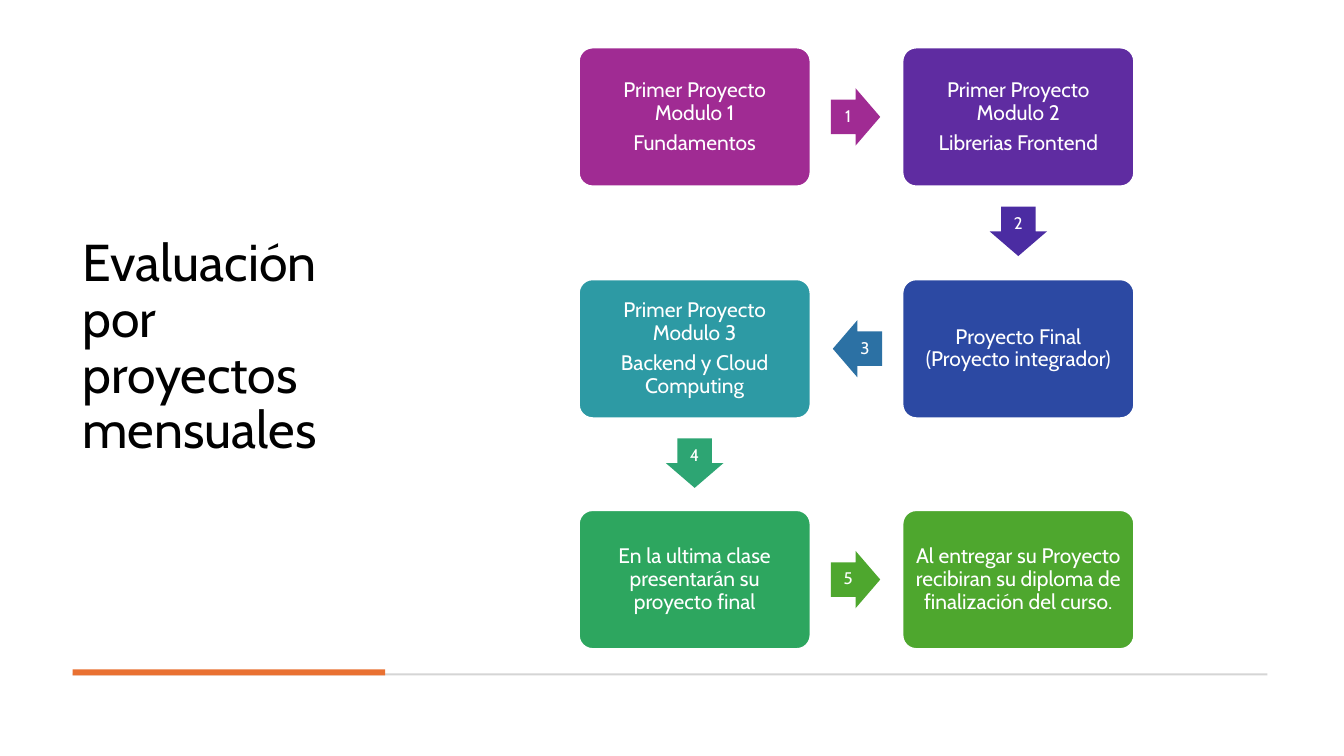
from pptx import Presentation
from pptx.dml.color import RGBColor
from pptx.enum.shapes import MSO_SHAPE
from pptx.enum.text import MSO_ANCHOR, PP_ALIGN
from pptx.util import Inches, Pt

HEX = {
    "black": "000000", "white": "FFFFFF", "gray": "D5D5D5", "orange": "E97132",
    "plum": "A02B93", "purple": "5F2CA1", "violet": "4B2CA2", "blue": "2C49A3",
    "steel": "2C71A4", "teal": "2D9AA4", "jade": "2DA573", "green": "2DA65F",
    "lime": "4EA72E",
}
LEFTS, TOPS = (5.74, 8.95), (0.47, 2.77, 5.06)
BOX_W, BOX_H = 2.3, 1.38
LONG, WIDE, GAP = 0.49, 0.57, 0.2

STEPS = [
    (0, 0, "plum", ["Primer Proyecto Modulo 1", "Fundamentos"]),
    (1, 0, "purple", ["Primer Proyecto Modulo 2", "Librerias Frontend"]),
    (1, 1, "blue", ["Proyecto Final (Proyecto integrador)"]),
    (0, 1, "teal", ["Primer Proyecto Modulo 3", "Backend y Cloud Computing"]),
    (0, 2, "green", ["En la ultima clase presentarán su proyecto final"]),
    (1, 2, "lime", ["Al entregar su Proyecto recibiran su diploma de "
                    "finalización del curso."]),
]
ARROWS = ["plum", "violet", "steel", "jade", "lime"]


def color(name):
    """Return the named colour."""
    return RGBColor.from_string(HEX[name])


def write(shape, lines, size, tint="white", align=PP_ALIGN.CENTER, inset=0.0):
    """Fill a shape with centred or aligned paragraphs."""
    frame = shape.text_frame
    frame.word_wrap = True
    frame.vertical_anchor = MSO_ANCHOR.MIDDLE
    frame.margin_left = frame.margin_right = Inches(inset)
    frame.margin_top = frame.margin_bottom = Inches(min(inset, 0.06))
    for i, line in enumerate(lines):
        para = frame.add_paragraph() if i else frame.paragraphs[0]
        para.text = line
        para.alignment = align
        para.line_spacing = 0.9
        if i < len(lines) - 1:
            para.space_after = Pt(0.35 * size)
        para.font.name = "Cabin"
        para.font.size = Pt(size)
        para.font.color.rgb = color(tint)


def block(slide, kind, left, top, width, height, fill):
    """Add a flat filled shape."""
    shape = slide.shapes.add_shape(
        kind, Inches(left), Inches(top), Inches(width), Inches(height))
    shape.shadow.inherit = False
    shape.fill.solid()
    shape.fill.fore_color.rgb = color(fill)
    shape.line.fill.background()
    return shape


def step(slide, col, row, fill, lines):
    """Add one project box on the grid."""
    box = block(slide, MSO_SHAPE.ROUNDED_RECTANGLE, LEFTS[col], TOPS[row],
                BOX_W, BOX_H, fill)
    box.adjustments[0] = 0.1
    box.line.color.rgb = color("white")
    box.line.width = Pt(1.5)
    write(box, lines, 15, inset=0.06)


def arrow(slide, start, end, fill, label):
    """Add a numbered arrow from one grid cell towards the next."""
    (col, row), (goal, drop) = start, end
    left, top = LEFTS[col], TOPS[row]
    if drop > row:
        kind, size = MSO_SHAPE.DOWN_ARROW, (WIDE, LONG)
        spot = left + (BOX_W - WIDE) / 2, top + BOX_H + GAP
    else:
        size = LONG, WIDE
        mid = top + (BOX_H - WIDE) / 2
        if goal > col:
            kind, spot = MSO_SHAPE.RIGHT_ARROW, (left + BOX_W + GAP, mid)
        else:
            kind, spot = MSO_SHAPE.LEFT_ARROW, (left - GAP - LONG, mid)
    shape = block(slide, kind, *spot, *size, fill)
    shape.adjustments[0] = 0.6
    shape.adjustments[1] = 0.5
    write(shape, [label], 12)


def title(slide, text):
    """Add the slide heading."""
    box = slide.shapes.add_textbox(
        Inches(0.72), Inches(0.47), Inches(3.1), Inches(5.97))
    write(box, [text], 37, "black", PP_ALIGN.LEFT, 0.1)


def main():
    """Build and save the slide."""
    deck = Presentation()
    deck.slide_width, deck.slide_height = Inches(13.33), Inches(7.5)
    slide = deck.slides.add_slide(deck.slide_layouts[6])
    title(slide, "Evaluación por proyectos \vmensuales")
    block(slide, MSO_SHAPE.RECTANGLE, 0.72, 6.68, 11.85, 0.02, "gray")
    block(slide, MSO_SHAPE.RECTANGLE, 0.72, 6.64, 3.1, 0.06, "orange")
    for item in STEPS:
        step(slide, *item)
    for i, fill in enumerate(ARROWS):
        arrow(slide, STEPS[i][:2], STEPS[i + 1][:2], fill, str(i + 1))
    deck.save("out.pptx")


if __name__ == "__main__":
    main()
